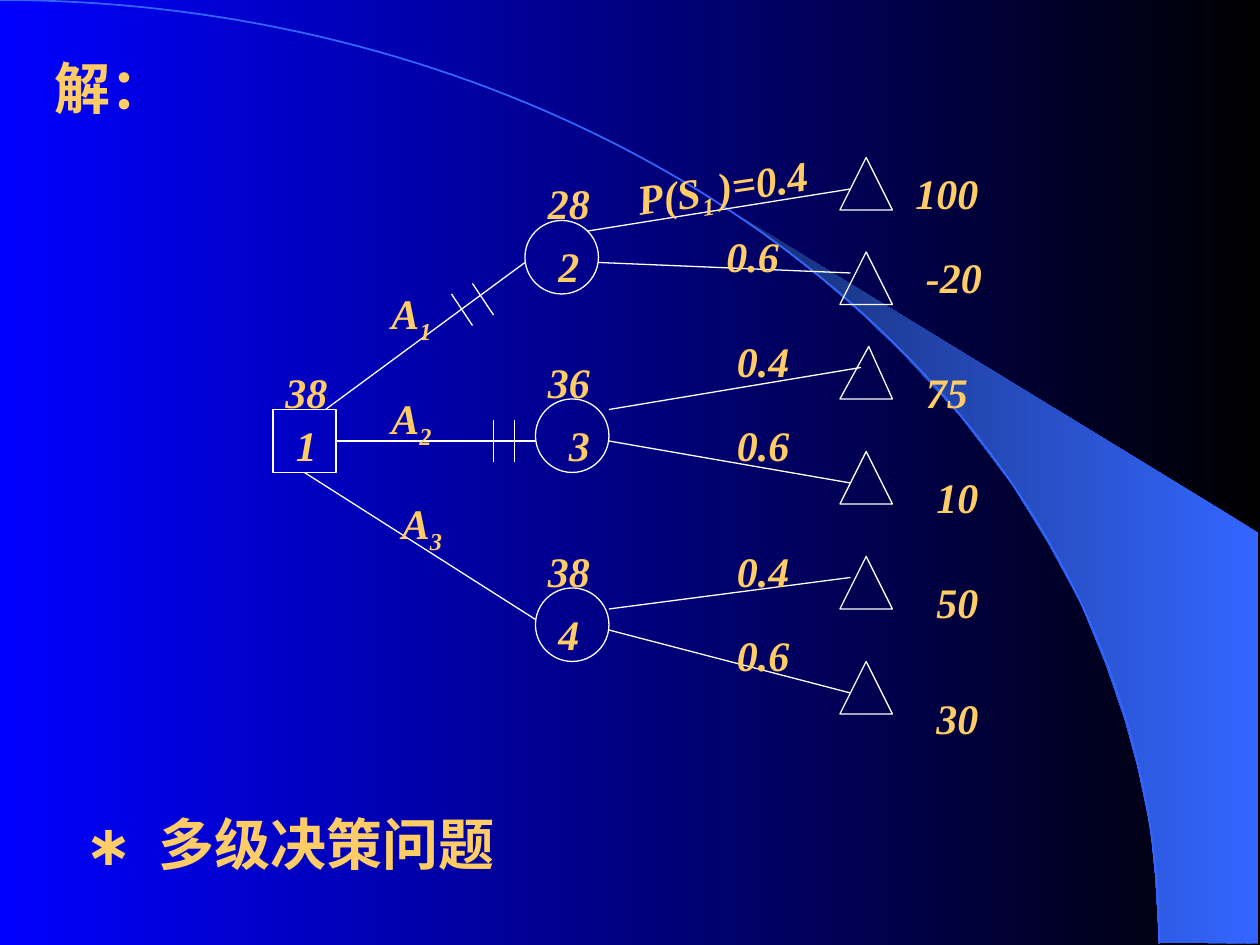
import math
from pptx import Presentation
from pptx import util as u
from pptx.dml.color import RGBColor
from pptx.enum import shapes, text
from pptx.oxml.ns import qn
from lxml import etree

COLORS = {"gold": "FFCC66", "white": "FFFFFF", "black": "000000",
          "blue": "0000FF", "sky": "3366FF", "navy": "172F75"}
CELL = u.Inches(10) // 120  # the page is a grid of 120 columns by 90 rows
LABEL_WIDTHS = {1: 5, 2: 7, 3: 9}  # columns, by number of characters


def color(name):
    return RGBColor.from_string(COLORS[name])


def cells(*values):
    return [round(value * CELL) for value in values]


def shade(fill, first, last):
    fill.gradient()
    fill.gradient_angle = 180
    for stop, name in zip(fill.gradient_stops, (first, last)):
        stop.color.rgb = color(name)


def outline(shape, name="white", width=0.75):
    shape.shadow.inherit = False
    shape.line.color.rgb = color(name)
    shape.line.width = u.Pt(width)


def add_outline_shape(page, kind, left, top, size):
    shape = page.shapes.add_shape(kind, *cells(left, top, size, size))
    shape.fill.background()
    outline(shape)
    return shape


def add_line(page, x1, y1, x2, y2):
    line = page.shapes.add_connector(shapes.MSO_CONNECTOR.STRAIGHT,
                                     *cells(x1, y1, x2, y2))
    line.line.color.rgb = color("white")
    line.line.width = u.Pt(0.75)
    etree.SubElement(line._element.spPr, qn("a:effectLst"))
    return line


def add_text(page, area, spans, size=24, italic=True, tab=None):
    """Place one paragraph; each span is (text, font, is_subscript)."""
    box = page.shapes.add_textbox(*cells(*area))
    frame = box.text_frame
    frame.word_wrap = True
    frame.auto_size = text.MSO_AUTO_SIZE.SHAPE_TO_FIT_TEXT
    para = frame.paragraphs[0]
    para.line_spacing = 1.7
    if tab:
        stops = etree.SubElement(para._p.get_or_add_pPr(), qn("a:tabLst"))
        etree.SubElement(stops, qn("a:tab"), pos=str(cells(tab)[0]), algn="l")
    for words, font, subscript in spans:
        span = para.add_run()
        span.text = words
        span.font.name = font
        span.font.size = u.Pt(size)
        span.font.bold = True
        span.font.italic = italic
        span.font.color.rgb = color("gold")
        if subscript:
            span._r.get_or_add_rPr().set("baseline", "-25000")
    return box


def add_label(page, left, top, words):
    area = (left, top, LABEL_WIDTHS[len(words)], 9.4)
    add_text(page, area, [(words, "Times New Roman", False)])


def add_freeform(page, points, closed):
    start, *rest = [(u.Inches(x), u.Inches(y)) for x, y in points]
    builder = page.shapes.build_freeform(*start)
    builder.add_line_segments(rest, close=closed)
    return builder.convert_to_shape()


def draw_backdrop(page, width, height):
    shade(page.background.fill, "black", "blue")

    # Bright band outside the arc
    band = add_freeform(page, [
        (9.2, 7.48), (9.99, 7.49), (9.99, 4.23), (5.89, 1.73), (6.24, 1.99),
        (6.53, 2.22), (6.85, 2.5), (7.16, 2.8), (7.62, 3.3), (8.03, 3.84),
        (8.32, 4.31), (8.58, 4.79), (8.78, 5.28), (8.93, 5.72), (9.03, 6.09),
        (9.13, 6.56), (9.17, 6.96)], True)
    shade(band.fill, "sky", "navy")
    band.shadow.inherit = False
    band.line.fill.background()

    # Quarter ellipse from the top left to the bottom edge
    steps = 90
    angles = [math.pi / 2 * step / steps for step in range(steps + 1)]
    arc = add_freeform(page, [(width * math.sin(angle), height * (1 - math.cos(angle)))
                              for angle in angles], False)
    arc.fill.background()
    outline(arc, "sky", 1)


def draw_tree(page, left, top):
    """Draw the decision tree from its top left cell."""
    shape_kinds = shapes.MSO_SHAPE

    # Outcomes: triangle row, payoff and its place
    outcomes = [(4, "100", 60, 1), (13, "-20", 61, 9), (22, "75", 61, 20),
                (32, "10", 62, 30), (42, "50", 62, 40), (52, "30", 62, 51)]
    for row, payoff, x, y in outcomes:
        triangle = add_outline_shape(page, shape_kinds.ISOSCELES_TRIANGLE,
                                     left + 54, top + row, 5)
        if payoff == "75":
            triangle.adjustments[0] = 0.55
        add_label(page, left + x, top + y, payoff)

    # Chance nodes and the decision node
    for x, y in [(24, 10), (25, 27), (25, 45)]:
        add_outline_shape(page, shape_kinds.OVAL, left + x, top + y, 7)
    decision = add_outline_shape(page, shape_kinds.RECTANGLE, left, top + 28, 6)

    # Branches, then the paired strokes that prune two of them
    branches = [(5, 28, 24, 14), (6, 31, 25, 31), (3, 34, 25, 48),
                (30, 11, 55, 7), (31, 14, 55, 15), (32, 28, 56, 24),
                (32, 31, 55, 35), (32, 47, 55, 44), (32, 49, 55, 55)]
    strokes = [(17, 17, 19, 20), (19, 16, 21, 19),
               (21, 29, 21, 33), (23, 29, 23, 33)]
    lines = [add_line(page, left + x1, top + y1, left + x2, top + y2)
             for x1, y1, x2, y2 in branches + strokes]
    lines[1].begin_connect(decision, 3)
    lines[2].begin_connect(decision, 2)

    # Node values, node numbers and probabilities
    labels = [(0, 20, "38"), (1, 25, "1"), (25, 2, "28"), (26, 8, "2"),
              (25, 19, "36"), (27, 25, "3"), (25, 37, "38"), (26, 43, "4"),
              (42, 7, "0.6"), (43, 17, "0.4"), (43, 25, "0.6"),
              (43, 37, "0.4"), (43, 45, "0.6")]
    for x, y, words in labels:
        add_label(page, left + x, top + y, words)

    # Labels with subscripts
    font = "Times New Roman"
    for x, y, index in [(10.1, 12, "1"), (10.1, 22, "2"), (11.1, 32, "3")]:
        add_text(page, (left + x, top + y, 7, 10.6),
                 [("A", font, False), (index, font, True)])
    chance = add_text(page, (left + 33.2, top - 0.2, 21, 10.6),
                      [("P(S", font, False), ("1 ", font, True), (")=0.4", font, False)])
    chance.rotation = 351.4


def draw_headings(page):
    add_text(page, (4, 0, 34, 12.1), [("解：", "Times New Roman", False)],
             size=32, italic=False)
    add_text(page, (7, 72, 89, 12.1),
             [("∗", "Arial", False), ("\t多级决策问题", "Times New Roman", False)],
             size=32, italic=False, tab=6.9)


def main():
    deck = Presentation()
    deck.slide_width, deck.slide_height = cells(120, 90)
    page = deck.slides.add_slide(deck.slide_layouts[6])
    draw_backdrop(page, 9.2, 7.49)
    draw_tree(page, 26, 11)
    draw_headings(page)
    deck.save("out.pptx")


if __name__ == "__main__":
    main()
